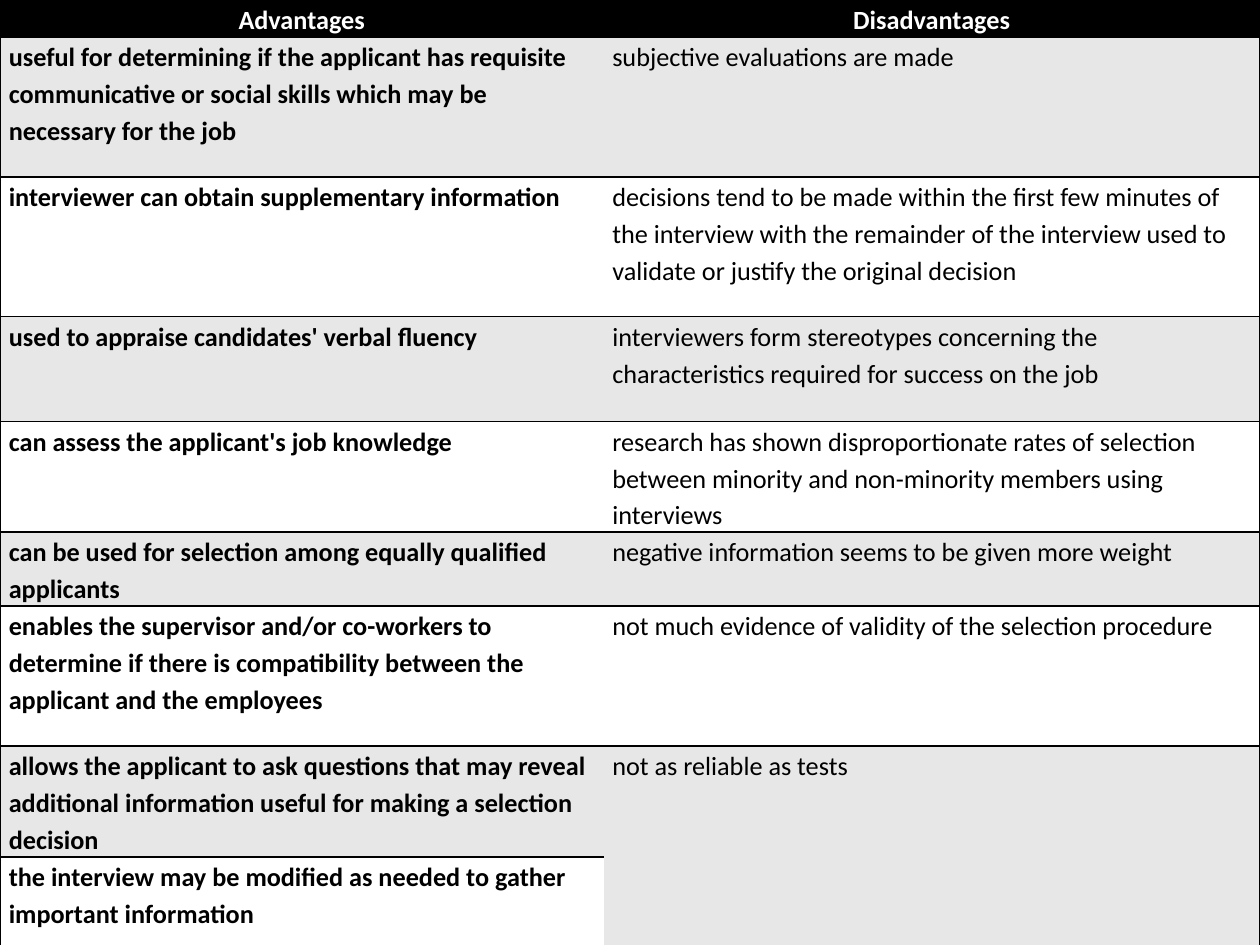
"""Build a slide with a table of interview advantages and disadvantages."""
from dataclasses import dataclass

from lxml import etree
from pptx import Presentation
from pptx.dml.color import RGBColor
from pptx.enum.text import PP_ALIGN
from pptx.oxml.ns import qn
from pptx.table import Table, _Cell
from pptx.util import Inches, Pt

BLACK = RGBColor(0x00, 0x00, 0x00)
WHITE = RGBColor(0xFF, 0xFF, 0xFF)
GREY = RGBColor(0xE7, 0xE7, 0xE7)
CENTER, LEFT = PP_ALIGN.CENTER, PP_ALIGN.LEFT
PLAIN = "{2D5ABB26-0587-4C30-8999-92F81FD0307C}"
SIDES = ("LTB", "RTB")
WIDTHS = (4.79, 5.21)
PADS = {
    "margin_left": Inches(0.07),
    "margin_top": 0,
    "margin_right": Inches(0.07),
    "margin_bottom": 0,
}


@dataclass(frozen=True)
class Entry:
    """One table row."""
    height: float
    pro: str
    con: str = ""


ROWS = (
    Entry(0.28, "Advantages", "Disadvantages"),
    Entry(1.11, "useful for determining if the applicant has requisite communicative "
          "or social skills which may be necessary for the job",
          "subjective evaluations are made"),
    Entry(1.11, "interviewer can obtain supplementary information",
          "decisions tend to be made within the first few minutes of the interview "
          "with the remainder of the interview used to validate or justify the "
          "original decision"),
    Entry(0.83, "used to appraise candidates' verbal fluency",
          "interviewers form stereotypes concerning the characteristics required "
          "for success on the job"),
    Entry(0.83, "can assess the applicant's job knowledge",
          "research has shown disproportionate rates of selection between minority "
          "and non-minority members using interviews"),
    Entry(0.55, "can be used for selection among equally qualified applicants",
          "negative information seems to be given more weight"),
    Entry(1.11, "enables the supervisor and/or co-workers to determine if there is "
          "compatibility between the applicant and the employees",
          "not much evidence of validity of the selection procedure"),
    Entry(0.83, "allows the applicant to ask questions that may reveal additional "
          "information useful for making a selection decision",
          "not as reliable as tests"),
    Entry(0.83, "the interview may be modified as needed to gather important "
          "information"),
)


def draw_edges(cell: _Cell, sides: str) -> None:
    """Rule the named sides of a cell in black."""
    props = cell._tc.get_or_add_tcPr()
    for side in sides:
        line = etree.SubElement(props, qn(f"a:ln{side}"), w=str(Pt(1)))
        fill = etree.SubElement(line, qn("a:solidFill"))
        etree.SubElement(fill, qn("a:srgbClr"), val=str(BLACK))


def fill_cell(cell: _Cell, text: str, row: int, col: int) -> None:
    """Style one cell by its row and column, and write its text."""
    head = row == 0
    draw_edges(cell, SIDES[col])
    cell.fill.solid()
    cell.fill.fore_color.rgb = BLACK if head else GREY if row % 2 else WHITE
    for name, value in PADS.items():
        setattr(cell, name, value)
    if not text:
        return
    para = cell.text_frame.paragraphs[0]
    para.alignment = CENTER if head else LEFT
    para.line_spacing = 1.15
    run = para.add_run()
    run.text = text
    look = {"name": "Calibri", "size": Pt(15), "bold": head or col == 0}
    for name, value in look.items():
        setattr(run.font, name, value)
    run.font.color.rgb = WHITE if head else BLACK


def fill_table(table: Table) -> None:
    """Size the grid, fill every cell and merge the last right pair."""
    table._tbl.tblPr.find(qn("a:tableStyleId")).text = PLAIN
    for col, width in enumerate(WIDTHS):
        table.columns[col].width = Inches(width)
    for row, entry in enumerate(ROWS):
        table.rows[row].height = Inches(entry.height)
        for col, text in enumerate((entry.pro, entry.con)):
            fill_cell(table.cell(row, col), text, row, col)
    last = len(ROWS) - 1
    table.cell(last - 1, 1).merge(table.cell(last, 1))


def main() -> None:
    """Make the slide and save it."""
    deck = Presentation()
    deck.slide_width, deck.slide_height = Inches(10), Inches(7.5)
    slide = deck.slides.add_slide(deck.slide_layouts[6])
    frame = slide.shapes.add_table(
        len(ROWS), len(WIDTHS), 0, 0, Inches(10), Inches(7.6))
    fill_table(frame.table)
    deck.save("out.pptx")


if __name__ == "__main__":
    main()
